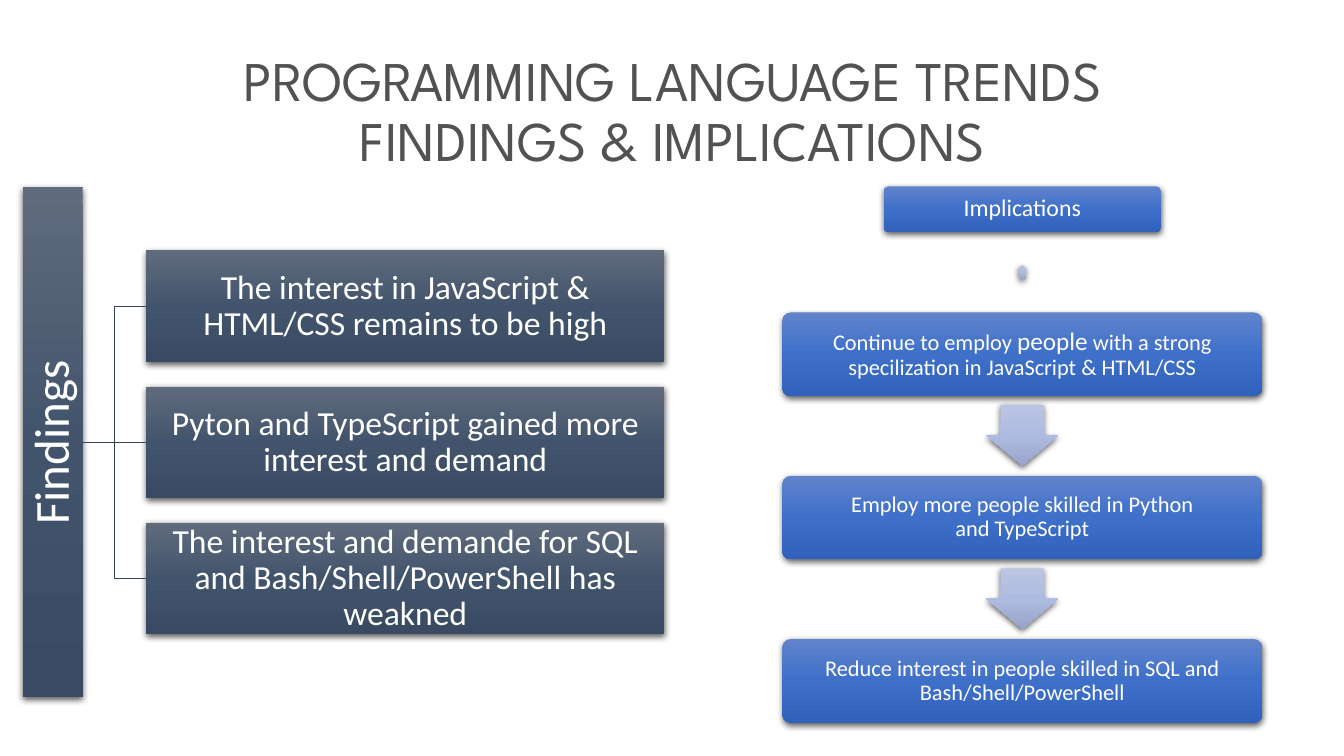
"""Build the slide on programming language findings and their implications."""
from dataclasses import dataclass

from lxml.etree import SubElement
from pptx import Presentation
from pptx.dml.color import RGBColor
from pptx.enum.shapes import MSO_CONNECTOR, MSO_SHAPE
from pptx.enum.text import MSO_ANCHOR, MSO_AUTO_SIZE, PP_ALIGN
from pptx.oxml.ns import qn
from pptx.util import Inches, Pt

TITLE = "PROGRAMMING LANGUAGE TRENDS\nFINDINGS & IMPLICATIONS"
FINDINGS_LABEL = "Findings"
FINDINGS = [
    "The interest in JavaScript & HTML/CSS remains to be high",
    "Pyton and TypeScript gained more interest and demand",
    "The interest and demande for SQL and Bash/Shell/PowerShell has weakned",
]
IMPLICATIONS_LABEL = "Implications"
IMPLICATIONS = [
    [("Continue to employ ", 16), ("people", 18),
     (" with a strong specilization in JavaScript & HTML/CSS", 16)],
    [("Employ more people skilled in Python\nand TypeScript", 16)],
    [("Reduce interest in people skilled in SQL and Bash/Shell/PowerShell", 16)],
]


@dataclass(frozen=True)
class Theme:
    """Colours, fonts and type sizes of the slide."""
    title_font: str = "League Spartan"
    body_font: str = "Calibri"
    title: str = "525252"
    white: str = "FFFFFF"
    line: str = "364355"
    slate: tuple = ("606B7D", "42546C", "394A62")
    blue: tuple = ("6183CB", "3E70CA", "3062BB")
    pale: tuple = ("BBC5E3", "AEBBE0", "98A4CB")
    title_size: int = 40
    findings_size: int = 35
    finding_size: int = 24
    implications_size: int = 17


THEME = Theme()


def write(shape, spans, font=THEME.body_font, color=THEME.white, inset=0.02):
    """Fill a shape with one centred paragraph of (text, size) spans."""
    frame = shape.text_frame
    frame.word_wrap = True
    frame.auto_size = MSO_AUTO_SIZE.NONE
    frame.vertical_anchor = MSO_ANCHOR.MIDDLE
    frame.margin_left = frame.margin_right = Inches(inset)
    frame.margin_top = frame.margin_bottom = Inches(inset)
    para = frame.paragraphs[0]
    para.alignment = PP_ALIGN.CENTER
    para.line_spacing = 0.9
    for text, size in spans:
        for number, line in enumerate(text.split("\n")):
            if number:
                para.add_line_break()
            span = para.add_run()
            span.text = line
            span.font.name = font
            span.font.size = Pt(size)
            span.font.color.rgb = RGBColor.from_string(color)


def add_block(page, kind, left, top, width, height, colors, adjustments=()):
    """Add a shape with a vertical three-stop gradient and a soft shadow."""
    shape = page.shapes.add_shape(
        kind, Inches(left), Inches(top), Inches(width), Inches(height))
    for index, value in enumerate(adjustments):
        shape.adjustments[index] = value
    shape.line.fill.background()
    shape.fill.gradient()
    shape.fill.gradient_angle = 270
    properties = shape.element.spPr
    stops = properties.find(".//" + qn("a:gsLst"))
    for stop in list(stops):
        stops.remove(stop)
    for position, color in zip((0, 50000, 100000), colors):
        stop = SubElement(stops, qn("a:gs"), pos=str(position))
        SubElement(stop, qn("a:srgbClr"), val=color)
    shape.shadow.inherit = False
    shadow = SubElement(
        properties.find(qn("a:effectLst")), qn("a:outerShdw"),
        blurRad=str(Pt(4.5)), dist=str(Pt(1.5)), dir="5400000",
        algn="ctr", rotWithShape="0")
    shade = SubElement(shadow, qn("a:srgbClr"), val="000000")
    SubElement(shade, qn("a:alpha"), val="63000")
    return shape


def join(page, start, end, kind):
    """Connect the right side of one shape to the left side of another."""
    link = page.shapes.add_connector(
        kind, start.left + start.width, start.top + start.height // 2,
        end.left, end.top + end.height // 2)
    link.begin_connect(start, 3)
    link.end_connect(end, 1)
    link.line.color.rgb = RGBColor.from_string(THEME.line)
    link.line.width = Pt(1)
    SubElement(link.element.spPr, qn("a:effectLst"))


def add_findings(page):
    """Draw the upright findings bar and the three findings beside it."""
    top, height, box_height, pitch = 1.86, 5.06, 1.11, 1.35
    middle = top + height / 2
    bar = add_block(page, MSO_SHAPE.RECTANGLE, 0.23, top, 0.59, height, THEME.slate)
    write(bar, [(FINDINGS_LABEL, THEME.findings_size)])
    bar.text_frame._txBody.bodyPr.set("vert", "vert270")
    for index, finding in enumerate(FINDINGS):
        box_top = middle + (index - 1) * pitch - box_height / 2
        box = add_block(page, MSO_SHAPE.RECTANGLE, 1.45, box_top, 5.14,
                        box_height, THEME.slate)
        write(box, [(finding, THEME.finding_size)])
        join(page, bar, box,
             MSO_CONNECTOR.STRAIGHT if index == 1 else MSO_CONNECTOR.ELBOW)


def add_implications(page):
    """Draw the implications header and the chain of steps below it."""
    center, first_top, pitch, height = 10.14, 3.1, 1.62, 0.83

    def centered(kind, top, width, tall, colors, adjustments):
        return add_block(page, kind, center - width / 2, top, width, tall,
                         colors, adjustments)

    header = centered(MSO_SHAPE.ROUNDED_RECTANGLE, 1.85, 2.75, 0.45,
                      THEME.blue, (0.1,))
    write(header, [(IMPLICATIONS_LABEL, THEME.implications_size)], inset=0.07)
    centered(MSO_SHAPE.UP_ARROW, 2.63, 0.1, 0.14, THEME.pale, (0.6, 0.5))
    for index, spans in enumerate(IMPLICATIONS):
        top = first_top + index * pitch
        if index:
            centered(MSO_SHAPE.DOWN_ARROW, top - 0.7, 0.72, 0.6,
                     THEME.pale, (0.6, 0.5))
        step = centered(MSO_SHAPE.ROUNDED_RECTANGLE, top, 4.76, height,
                        THEME.blue, (0.1,))
        write(step, spans, inset=0.07)


def main():
    """Create the deck and save it."""
    deck = Presentation()
    deck.slide_width, deck.slide_height = Inches(13.33), Inches(7.5)
    page = deck.slides.add_slide(deck.slide_layouts[5])
    title = page.shapes.title
    title.left, title.top = Inches(0.92), Inches(0.4)
    title.width, title.height = Inches(11.5), Inches(1.45)
    write(title, [(TITLE, THEME.title_size)], font=THEME.title_font,
          color=THEME.title, inset=0.05)
    add_findings(page)
    add_implications(page)
    deck.save("out.pptx")


if __name__ == "__main__":
    main()
